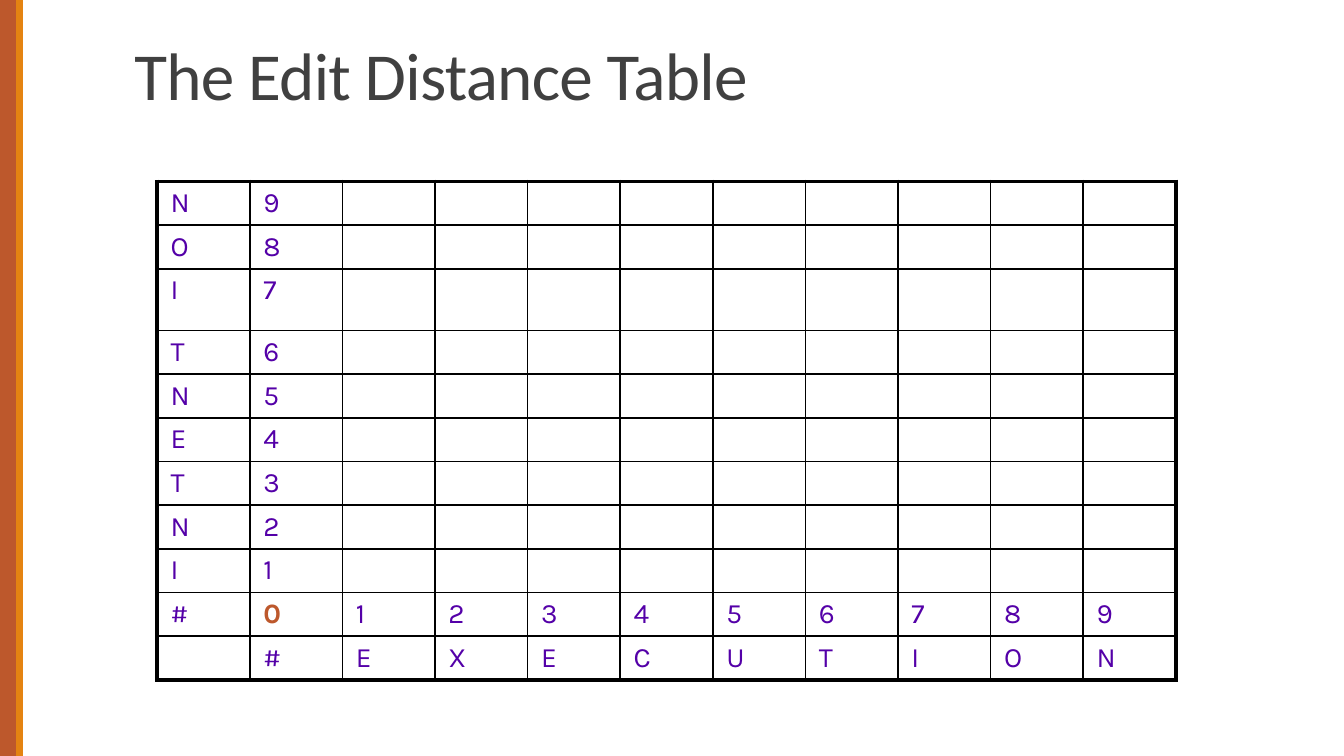
"""Build the slide with the empty edit distance table."""
from lxml.etree import SubElement
from pptx import Presentation
from pptx.dml.color import RGBColor
from pptx.enum.shapes import MSO_SHAPE
from pptx.enum.text import MSO_ANCHOR, MSO_AUTO_SIZE, PP_ALIGN
from pptx.oxml.ns import qn
from pptx.util import Inches, Pt


def paint(code):
    return RGBColor.from_string(code)


class Deck:
    ink, rust, gold, gray, line = "5400A8", "BD582C", "E48312", "404040", "000000"
    thin, thick = 1, 2.25

    def __init__(self, wide, high):
        self.show = Presentation()
        self.show.slide_width, self.show.slide_height = Inches(wide), Inches(high)
        self.page = self.show.slides.add_slide(self.show.slide_layouts[5])

    def bar(self, left, wide, color):
        box = self.page.shapes.add_shape(
            MSO_SHAPE.RECTANGLE, Inches(left), 0, Inches(wide), self.show.slide_height)
        box.shadow.inherit = False
        box.fill.solid()
        box.fill.fore_color.rgb = paint(color)
        box.line.fill.background()

    def title(self, text, left, top, wide, high):
        box = self.page.shapes.title
        box.left, box.top = Inches(left), Inches(top)
        box.width, box.height = Inches(wide), Inches(high)
        frame = box.text_frame
        frame.text = text
        frame.auto_size = MSO_AUTO_SIZE.NONE
        frame.vertical_anchor = MSO_ANCHOR.BOTTOM
        para = frame.paragraphs[0]
        para.alignment = PP_ALIGN.LEFT
        para.line_spacing = 0.85
        self.font(para, "Calibri", 36, self.gray)
        para.runs[0]._r.get_or_add_rPr().set("spc", "-40")

    def font(self, para, name, size, color, bold=False):
        font = para.font
        font.name, font.size, font.bold = name, Pt(size), bold
        font.color.rgb = paint(color)

    def edge(self, cell, side, width):
        props = cell._tc.get_or_add_tcPr()
        line = SubElement(props, qn(f"a:ln{side}"), w=str(Pt(width)))
        fill = SubElement(line, qn("a:solidFill"))
        SubElement(fill, qn("a:srgbClr"), val=self.line)

    def cell(self, cell, text, color, bold, outer):
        cell.margin_left = cell.margin_right = Inches(0.1)
        cell.margin_top = cell.margin_bottom = Inches(0.04)
        cell.text = text
        para = cell.text_frame.paragraphs[0]
        self.font(para, "Karla", 15, color, bold)
        gap = SubElement(para._p.get_or_add_pPr(), qn("a:spcBef"))
        SubElement(gap, qn("a:spcPct"), val="20000")
        para._p.pPr.insert(0, gap)
        for side, rim in outer.items():
            self.edge(cell, side, self.thick if rim else self.thin)
        cell.fill.background()

    def table(self, rows, left, top, wide, high, tall, origin):
        down, across = len(rows), len(rows[0])
        grid = self.page.shapes.add_table(
            down, across, Inches(left), Inches(top), Inches(wide), Inches(high)).table
        grid.first_row = grid.horz_banding = False
        spot, size = tall
        for r, row in enumerate(rows):
            grid.rows[r].height = Inches(size if r == spot else (high - size) / (down - 1))
            for c, text in enumerate(row):
                start = (r, c) == origin
                outer = {"L": c == 0, "R": c == across - 1,
                         "T": r == 0, "B": r == down - 1}
                self.cell(grid.cell(r, c), text,
                          self.rust if start else self.ink, start, outer)


def main():
    source, target = "INTENTION", "EXECUTION"
    blank = [""] * len(target)
    rows = [[mark, str(n), *blank] for n, mark in enumerate(source, 1)][::-1]
    rows.append(["#", *map(str, range(len(target) + 1))])
    rows.append(["", "#", *target])

    deck = Deck(10, 10 * 9 / 16)
    deck.bar(0, 0.17, deck.rust)
    deck.bar(0.12, 0.05, deck.gold)
    deck.table(rows, 1.17, 1.35, 7.58, 3.71, tall=(2, 0.46), origin=(9, 1))
    deck.title("The Edit Distance Table", 0.9, 0.24, 8.25, 0.66)
    deck.show.save("out.pptx")


if __name__ == "__main__":
    main()
